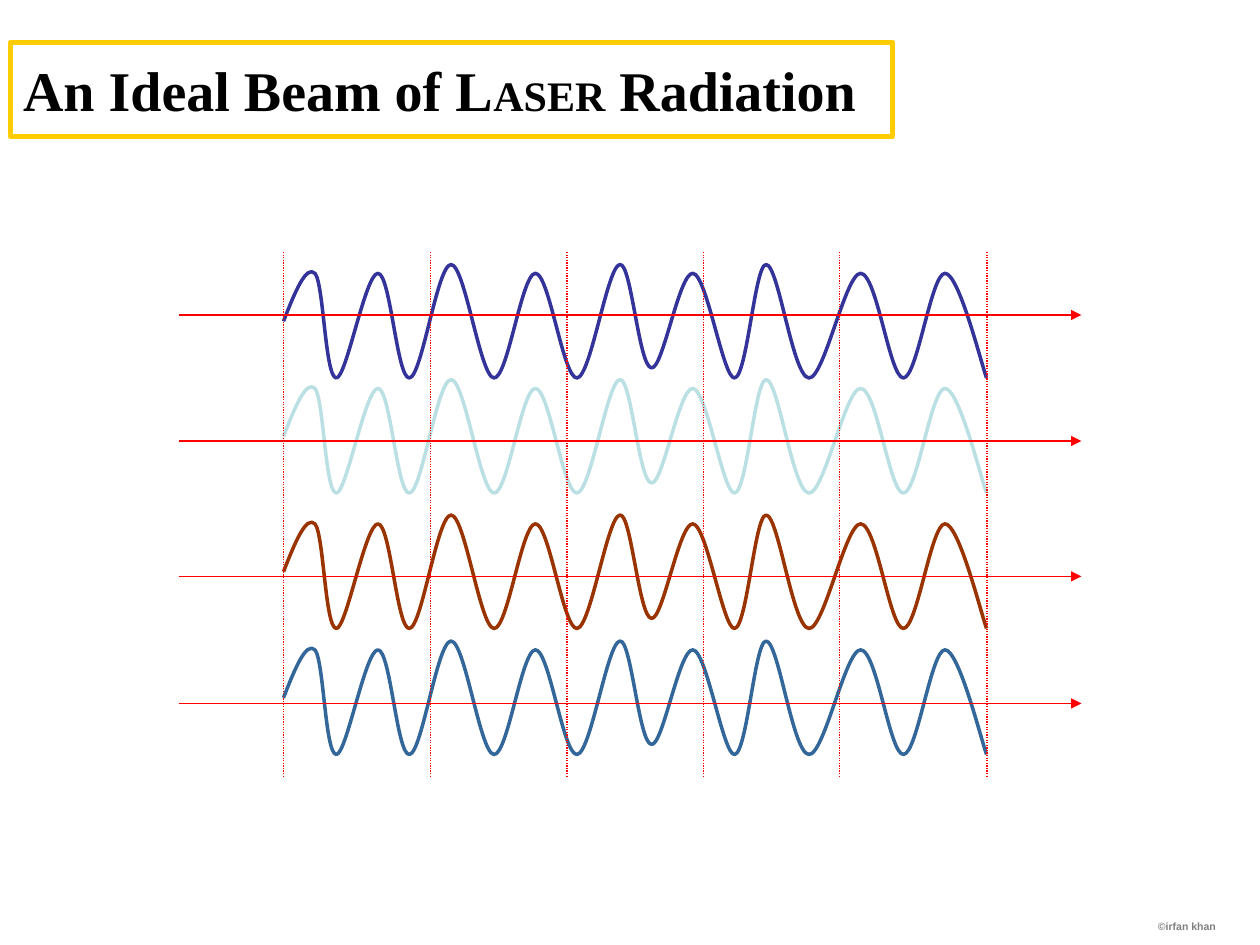
from lxml.etree import Element, SubElement
from pptx import Presentation
from pptx.dml.color import RGBColor
from pptx.enum.dml import MSO_LINE
from pptx.enum.shapes import MSO_CONNECTOR
from pptx.enum.text import MSO_ANCHOR, MSO_AUTO_SIZE, PP_ALIGN
from pptx.oxml.ns import qn
from pptx.util import Cm, Pt

RED = "FF0000"
UNIT = 0.0254
START = (225, 255)
CURVES = [
    (234, 232, 243, 210, 250, 217), (257, 225, 258, 300, 267, 300),
    (275, 300, 290, 217, 300, 217), (310, 217, 315, 301, 325, 300),
    (335, 299, 347, 210, 358, 210), (369, 210, 381, 299, 392, 300),
    (403, 301, 414, 217, 425, 217), (436, 217, 447, 301, 458, 300),
    (469, 299, 482, 211, 492, 210), (501, 208, 507, 291, 517, 292),
    (526, 294, 539, 216, 550, 217), (561, 218, 574, 301, 583, 300),
    (593, 299, 599, 210, 608, 210), (618, 210, 629, 299, 642, 300),
    (654, 301, 671, 217, 683, 217), (696, 217, 706, 300, 717, 300),
    (728, 300, 739, 217, 750, 217), (761, 217, 778, 286, 783, 300),
]
WAVES = [("333399", 0), ("BBE0E3", 2.32), ("993300", 5.05), ("336699", 7.59)]
AXES = [6.35, 8.89, 11.62, 14.18]
FRONTS = [5.72, 8.68, 11.43, 14.18, 16.93, 19.9]


def color(code):
    return RGBColor.from_string(code)


def spot(x, y, drop):
    return Cm(x * UNIT), Cm(y * UNIT + drop)


def bend(wave, drop):
    legs = list(wave._element.iter(qn("a:lnTo")))
    for leg, (a, b, c, d, _, _) in zip(legs, CURVES):
        leg.tag = qn("a:cubicBezTo")
        for n, pull in enumerate([(a, b), (c, d)]):
            x, y = spot(*pull, drop)
            leg.insert(n, Element(
                qn("a:pt"), x=str(x - wave.left), y=str(y - wave.top)))


def add_wave(shapes, code, drop):
    pen = shapes.build_freeform(*spot(*START, drop))
    ends = [spot(*curve[4:], drop) for curve in CURVES]
    pen.add_line_segments(ends, close=False)
    wave = pen.convert_to_shape()
    bend(wave, drop)
    wave.shadow.inherit = False
    wave.fill.background()
    wave.line.color.rgb = color(code)
    wave.line.width = Pt(2)


def add_line(shapes, x1, y1, x2, y2):
    line = shapes.add_connector(
        MSO_CONNECTOR.STRAIGHT, Cm(x1), Cm(y1), Cm(x2), Cm(y2))
    line.line.color.rgb = color(RED)
    line.line.width = Pt(0.75)
    SubElement(line._element.spPr, qn("a:effectLst"))
    return line


def add_axis(shapes, y):
    axis = add_line(shapes, 3.6, y, 21.8, y)
    SubElement(axis.line._get_or_add_ln(), qn("a:tailEnd"), type="triangle")


def add_front(shapes, x):
    front = add_line(shapes, x, 5.08, x, 15.66)
    front.line.dash_style = MSO_LINE.ROUND_DOT


def add_run(para, text, size, face, code):
    run = para.add_run()
    run.text = text
    run.font.size = Pt(size)
    run.font.name = face
    run.font.bold = True
    run.font.color.rgb = color(code)


def set_title(title):
    title.left, title.top = Cm(0.21), Cm(0.85)
    title.width, title.height = Cm(17.78), Cm(1.9)
    title.line.color.rgb = color("FFCC00")
    title.line.width = Pt(3)
    frame = title.text_frame
    frame.auto_size = MSO_AUTO_SIZE.NONE
    frame.word_wrap = False
    frame.vertical_anchor = MSO_ANCHOR.MIDDLE
    para = frame.paragraphs[0]
    para.alignment = PP_ALIGN.LEFT
    for text, size in [("An Ideal Beam of L", 32), ("ASER", 24), (" Radiation", 32)]:
        add_run(para, text, size, "Times New Roman", "000000")


def add_credit(shapes):
    box = shapes.add_textbox(Cm(16.71), Cm(17.15), Cm(8.05), Cm(1.65))
    frame = box.text_frame
    frame.word_wrap = True
    frame.margin_bottom = 0
    frame.vertical_anchor = MSO_ANCHOR.BOTTOM
    para = frame.paragraphs[0]
    para.alignment = PP_ALIGN.RIGHT
    add_run(para, "©irfan khan", 6, "Arial", "808080")


def main():
    deck = Presentation()
    deck.slide_width, deck.slide_height = Cm(25.4), Cm(19.05)
    slide = deck.slides.add_slide(deck.slide_layouts[5])
    shapes = slide.shapes
    set_title(shapes.title)
    add_credit(shapes)
    for code, drop in WAVES:
        add_wave(shapes, code, drop)
    grid = shapes.add_group_shape().shapes
    for y in AXES:
        add_axis(grid, y)
    for x in FRONTS:
        add_front(grid, x)
    deck.save("out.pptx")


if __name__ == "__main__":
    main()
